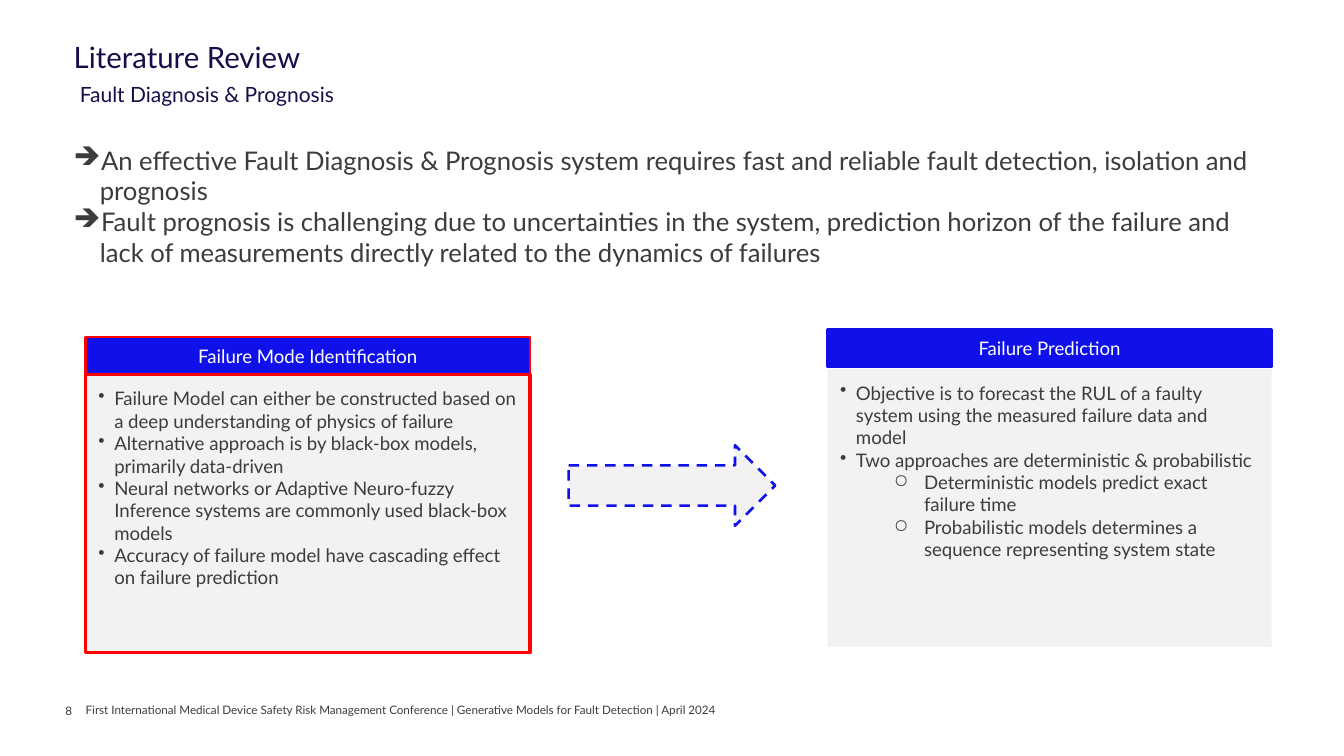
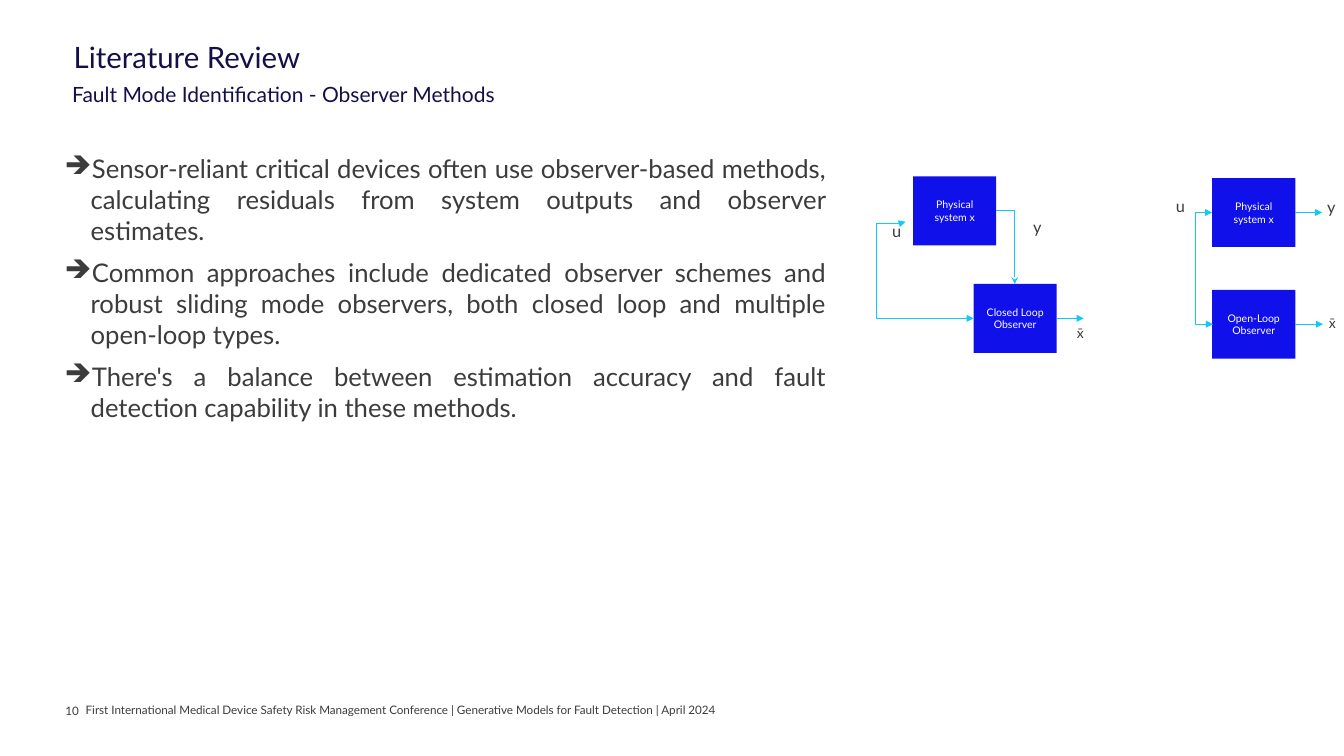
from lxml import etree
from pptx import Presentation
from pptx import util as u
from pptx.dml.color import RGBColor
from pptx.enum import dml, shapes, text
from pptx.oxml.ns import qn

PX = 9144
FONT = "Lato"
NAVY, BLUE, CYAN, RED = "140F4B", "1010EB", "0FC9F7", "FF0000"
INK, PALE, WHITE = "3C3C3C", "F2F2F2", "FFFFFF"
RECT = shapes.MSO_SHAPE.RECTANGLE
TOP, MIDDLE, BOTTOM = text.MSO_ANCHOR.TOP, text.MSO_ANCHOR.MIDDLE, text.MSO_ANCHOR.BOTTOM
LEFT, CENTER, JUSTIFY = text.PP_ALIGN.LEFT, text.PP_ALIGN.CENTER, text.PP_ALIGN.JUSTIFY
BULLETS = {"➔": (31, 31, 0), "•": (19, 19, 0), "○": (100, 36, 1)}
FOOTER = ("First International Medical Device Safety Risk Management Conference"
          " | Generative Models for Fault Detection | April 2024")

color = RGBColor.from_string


def write(slide, at, content, fill=None, edge=None, weight=2.25, size=16, ink=INK,
          align=LEFT, anchor=TOP, inset=(0, 0), leading=None, gap=0, wrap=True):
    place = [n * PX for n in at]
    if fill:
        box = slide.shapes.add_shape(RECT, *place)
        box.shadow.inherit = False
        box.fill.solid()
        box.fill.fore_color.rgb = color(fill)
        if edge:
            box.line.color.rgb = color(edge)
            box.line.width = u.Pt(weight)
        else:
            box.line.fill.background()
    else:
        box = slide.shapes.add_textbox(*place)
    frame = box.text_frame
    frame.word_wrap = wrap
    frame.vertical_anchor = anchor
    frame.margin_left = frame.margin_right = inset[0] * PX
    frame.margin_top = frame.margin_bottom = inset[1] * PX
    items = [(None, content)] if isinstance(content, str) else content
    for i, (bullet, words) in enumerate(items):
        para = frame.add_paragraph() if i else frame.paragraphs[0]
        if bullet:
            indent, hang, level = BULLETS[bullet]
            para.level = level
            props = para._p.get_or_add_pPr()
            props.set("marL", str(indent * PX))
            props.set("indent", str(-hang * PX))
            tint = etree.SubElement(props, qn("a:buClr"))
            etree.SubElement(tint, qn("a:srgbClr"), val=ink)
            etree.SubElement(props, qn("a:buChar"), char=bullet)
        para.alignment = align
        if leading:
            para.line_spacing = leading
        if gap and i:
            para.space_before = u.Pt(gap)
        span = para.add_run()
        span.text = words
        span.font.name = FONT
        span.font.size = u.Pt(size)
        span.font.color.rgb = color(ink)
    return box


def connect(slide, ends, preset="line", head=None, tail="triangle", turn=0, adjust=()):
    kind = shapes.MSO_CONNECTOR.STRAIGHT if preset == "line" else shapes.MSO_CONNECTOR.ELBOW
    link = slide.shapes.add_connector(kind, *[n * PX for n in ends])
    link.line.color.rgb = color(CYAN)
    link.line.width = u.Pt(0.75)
    props = link._element.spPr
    for tag, arrow in (("a:headEnd", head), ("a:tailEnd", tail)):
        if arrow:
            etree.SubElement(props.find(qn("a:ln")), qn(tag), type=arrow)
    etree.SubElement(props, qn("a:effectLst"))
    if turn:
        props.find(qn("a:xfrm")).set("rot", str(turn * 60000))
    geometry = props.find(qn("a:prstGeom"))
    geometry.set("prst", preset)
    guides = geometry.find(qn("a:avLst"))
    for i, share in enumerate(adjust, 1):
        etree.SubElement(guides, qn("a:gd"), name=f"adj{i}", fmla=f"val {round(share * 100000)}")
    return link


deck = Presentation()
deck.slide_width, deck.slide_height = 1600 * PX, 900 * PX

pages = []
for number, subtitle, left in (("8", "Fault Diagnosis & Prognosis", 95),
                               ("10", "Fault Mode Identification - Observer Methods", 86)):
    page = deck.slides.add_slide(deck.slide_layouts[6])
    write(page, (78, 48, 1444, 44), "Literature Review", size=25.2, ink=NAVY,
          anchor=MIDDLE, inset=(10, 5), leading=0.9)
    write(page, (left, 92, 1444, 40), subtitle, size=18, ink=NAVY, inset=(0, 5))
    write(page, (78, 838, 33, 17), number, size=10, anchor=BOTTOM)
    write(page, (102, 836, 1199, 17), FOOTER, size=10, anchor=BOTTOM)
    pages.append(page)
review, observers = pages

write(review, (78, 167, 1436, 181), [
    ("➔", "An effective Fault Diagnosis & Prognosis system requires fast and reliable "
          "fault detection, isolation and prognosis"),
    ("➔", "Fault prognosis is challenging due to uncertainties in the system, prediction "
          "horizon of the failure and lack of measurements directly related to the "
          "dynamics of failures"),
], fill=WHITE, size=22, inset=(10, 5))

arrow = review.shapes.add_shape(shapes.MSO_SHAPE.RIGHT_ARROW, 677 * PX, 530 * PX, 246 * PX, 96 * PX)
arrow.shadow.inherit = False
arrow.fill.solid()
arrow.fill.fore_color.rgb = color(PALE)
arrow.line.color.rgb = color(BLUE)
arrow.line.width = u.Pt(2.25)
arrow.line.dash_style = dml.MSO_LINE.DASH

identification = [
    ("•", "Failure Model can either be constructed based on a deep understanding of "
          "physics of failure"),
    ("•", "Alternative approach is by black-box models, primarily data-driven"),
    ("•", "Neural networks or Adaptive Neuro-fuzzy Inference systems are commonly used "
          "black-box models"),
    ("•", "Accuracy of failure model have cascading effect on failure prediction"),
]
prediction = [
    ("•", "Objective is to forecast the RUL of a faulty system using the measured failure "
          "data and model"),
    ("•", "Two approaches are deterministic & probabilistic"),
    ("○", "Deterministic models predict exact failure time"),
    ("○", "Probabilistic models determines a sequence representing system state"),
]
for heading, points, left, top, body_top, head_edge, body_edge in (
        ("Failure Mode Identification", identification, 102, 401, 446, RED, RED),
        ("Failure Prediction", prediction, 985, 392, 439, BLUE, None)):
    write(review, (left, top, 529, 45), heading, fill=BLUE, edge=head_edge, ink=WHITE,
          align=CENTER, anchor=MIDDLE, inset=(15, 15))
    write(review, (left, body_top, 529, 331), points, fill=PALE, edge=body_edge, weight=3,
          inset=(15, 15))

write(observers, (62, 167, 936, 409), [
    ("➔", "Sensor-reliant critical devices often use observer-based methods, calculating "
          "residuals from system outputs and observer estimates."),
    ("➔", "Common approaches include dedicated observer schemes and robust sliding mode "
          "observers, both closed loop and multiple open-loop types."),
    ("➔", "There's a balance between estimation accuracy and fault detection capability "
          "in these methods."),
], fill=WHITE, size=22, align=JUSTIFY, inset=(15, 15), gap=10)

blocks = [
    write(observers, (left, top, 99, 82), name, fill=BLUE, size=9, ink=WHITE,
          align=CENTER, anchor=MIDDLE, inset=(15, 15))
    for name, left, top in (("Physical system x", 1087, 210),
                            ("Closed Loop Observer", 1159, 338),
                            ("Physical system x", 1443, 212),
                            ("Open-Loop Observer", 1443, 345))
]
for block, end, y in zip(blocks[1:], (1290, 1574, 1575), (379, 253, 386)):
    connect(observers, (end - 32, y, end, y)).begin_connect(block, 3)

connect(observers, (1186, 251, 1208, 338), "bentConnector2", tail="stealth")
connect(observers, (1443, 253, 1444, 386), "bentConnector3", head="triangle", adjust=(-20,))
connect(observers, (1176, 281, 1061, 362), "bentConnector4", head="triangle", turn=270,
        adjust=(0.016, -0.436))

for symbol, left, top, width, height, size in (
        ("u", 1062, 263, 32, 24, 14), ("y", 1230, 259, 33, 24, 14),
        ("x̄", 1282, 386, 9, 61, 12), ("u", 1400, 233, 33, 24, 14),
        ("y", 1580, 235, 11, 24, 14), ("x̄", 1582, 374, 9, 61, 12)):
    write(observers, (left, top, width, height), symbol, size=size, wrap=False)

deck.save("out.pptx")
